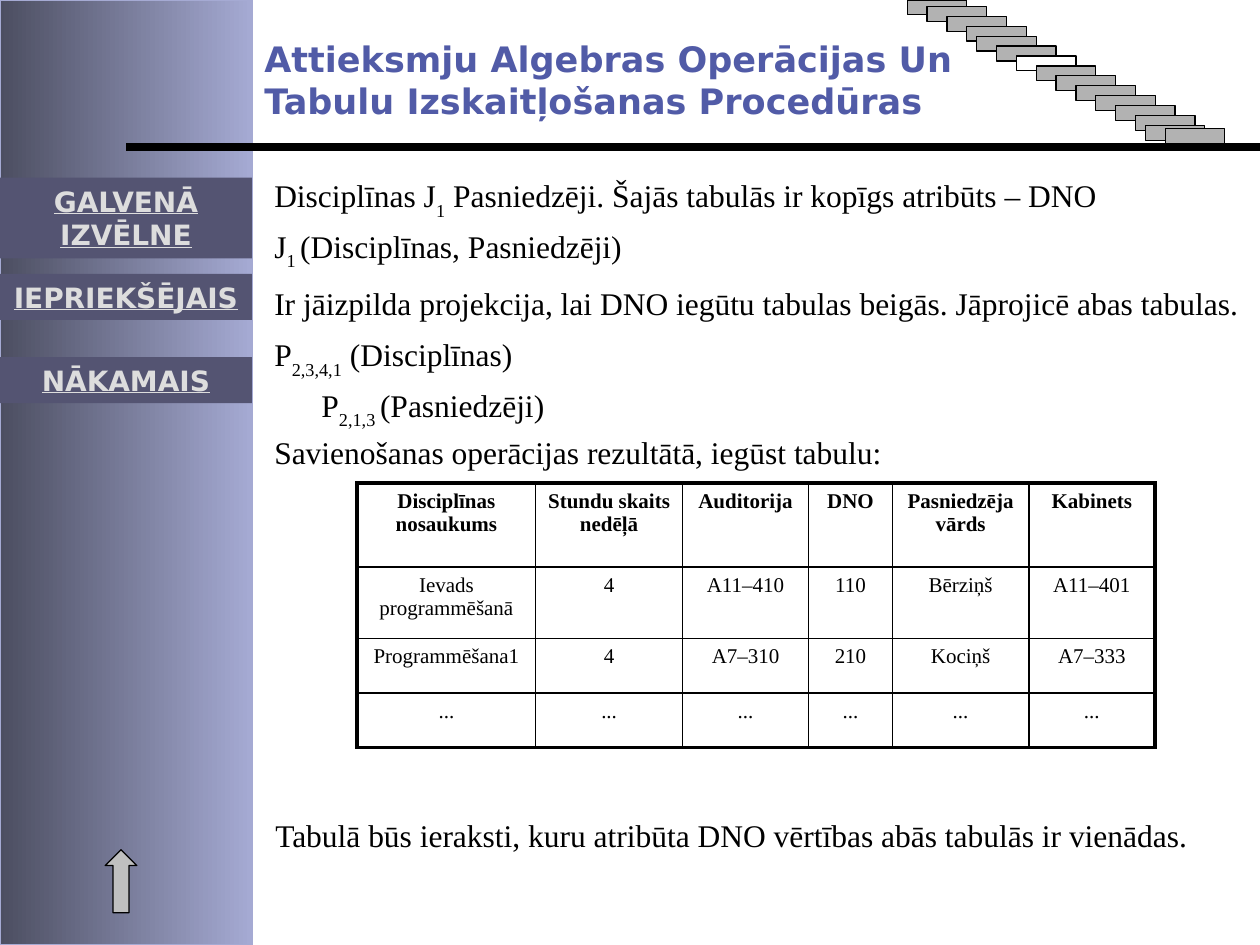
from lxml import etree
from pptx import Presentation
from pptx.dml.color import RGBColor
from pptx.enum import shapes, text
from pptx.oxml import ns
from pptx.util import Cm, Pt

SERIF, SANS = "Times New Roman", "DejaVu Sans"
BLACK, GRAY, WHITE = "000000", "B2B2B2", "FFFFFF"
LEFT, CENTER, JUSTIFY = text.PP_ALIGN.LEFT, text.PP_ALIGN.CENTER, text.PP_ALIGN.JUSTIFY

TITLE = "Attieksmju Algebras Operācijas Un Tabulu Izskaitļošanas Procedūras"
BODY = [
    ("Disciplīnas J|1| Pasniedzēji. Šajās tabulās ir kopīgs atribūts – DNO", {"spacing": 0.7}),
    ("J|1 |(Disciplīnas, Pasniedzēji)", {"spacing": 0.7, "align": JUSTIFY}),
    ("Ir jāizpilda projekcija, lai DNO iegūtu tabulas beigās. Jāprojicē abas tabulas.",
     {"align": JUSTIFY}),
    ("P|2,3,4,1| (Disciplīnas)", {"spacing": 0.7, "align": JUSTIFY}),
    ("P|2,1,3 |(Pasniedzēji)", {"spacing": 0.7, "indent": 0.95}),
    ("Savienošanas operācijas rezultātā, iegūst tabulu:", {"spacing": 0.7}),
]
CLOSING = "Tabulā būs ieraksti, kuru atribūta DNO vērtības abās tabulās ir vienādas."
BUTTONS = [
    ("GALVENĀ IZVĒLNE", 3.58, 1.63),
    ("IEPRIEKŠĒJAIS", 5.52, 0.93),
    ("NĀKAMAIS", 7.2, 0.93),
]
TABLE = [
    ["Disciplīnas nosaukums", "Stundu skaits nedēļā", "Auditorija", "DNO",
     "Pasniedzēja vārds", "Kabinets"],
    ["Ievads programmēšanā", "4", "A11–410", "110", "Bērziņš", "A11–401"],
    ["Programmēšana1", "4", "A7–310", "210", "Kociņš", "A7–333"],
    ["..."] * 6,
]
COLUMN_WIDTHS = [3.6, 2.96, 2.54, 1.69, 2.75, 2.54]
ROW_HEIGHTS = [1.69, 1.44, 1.1, 1.1]
BAR_STEPS = [0, 2, 4, 6, 7, 9, 11, 13, 15, 17, 19, 21, 23, 24, 26]
WHITE_BAR = 6


def color(value):
    return RGBColor.from_string(value)


def add_text(frame, content, size=18, font=SERIF, ink=BLACK, bold=False, underline=False,
             align=LEFT, spacing=None, before=0, indent=0):
    first = not frame.paragraphs[0].runs
    paragraph = frame.paragraphs[0] if first else frame.add_paragraph()
    paragraph.alignment = align
    if spacing:
        paragraph.line_spacing = spacing
    if before and not first:
        paragraph.space_before = Pt(before)
    if indent:
        paragraph._p.get_or_add_pPr().set("marL", str(Cm(indent)))
    for index, part in enumerate(content.split("|")):
        run = paragraph.add_run()
        run.text = part
        run.font.size, run.font.name = Pt(size), font
        run.font.bold, run.font.underline = bold, underline
        run.font.color.rgb = color(ink)
        if index % 2:
            run._r.get_or_add_rPr().set("baseline", "-30000")


def add_box(slide, left, top, width, height):
    frame = slide.shapes.add_textbox(Cm(left), Cm(top), Cm(width), Cm(height)).text_frame
    frame.word_wrap = True
    return frame


def add_shape(slide, kind, left, top, width, height, fill=None, line=None):
    shape = slide.shapes.add_shape(kind, Cm(left), Cm(top), Cm(width), Cm(height))
    shape.shadow.inherit = False
    if fill:
        shape.fill.solid()
        shape.fill.fore_color.rgb = color(fill)
    if line:
        shape.line.color.rgb = color(line)
        shape.line.width = Pt(0.75)
    else:
        shape.line.fill.background()
    return shape


def add_border(cell, side, width):
    properties = cell._tc.get_or_add_tcPr()
    line = etree.SubElement(properties, ns.qn(f"a:ln{side}"), w=str(Pt(width)))
    fill = etree.SubElement(line, ns.qn("a:solidFill"))
    etree.SubElement(fill, ns.qn("a:srgbClr"), val=BLACK)


def add_table(slide, left, top):
    rows, columns = len(TABLE), len(COLUMN_WIDTHS)
    table = slide.shapes.add_table(rows, columns, Cm(left), Cm(top),
                                   Cm(sum(COLUMN_WIDTHS)), Cm(sum(ROW_HEIGHTS))).table
    table.first_row = table.horz_banding = False
    for column, width in zip(table.columns, COLUMN_WIDTHS):
        column.width = Cm(width)
    for r, (values, height) in enumerate(zip(TABLE, ROW_HEIGHTS)):
        table.rows[r].height = Cm(height)
        for c, value in enumerate(values):
            cell = table.cell(r, c)
            cell.margin_left = cell.margin_right = Cm(0.2)
            add_text(cell.text_frame, value, size=12, bold=r == 0, align=CENTER)
            outer = {"L": c == 0, "R": c == columns - 1, "T": r == 0, "B": r == rows - 1}
            for side, thick in outer.items():
                add_border(cell, side, 2.25 if thick else 1)
            cell.fill.background()


def add_sidebar(slide):
    rectangle = shapes.MSO_SHAPE.RECTANGLE
    sidebar = add_shape(slide, rectangle, 0, 0, 5.08, 19.05, line="A5AAD3")
    sidebar.fill.gradient()
    sidebar.fill.gradient_angle = 180
    for stop, value in zip(sidebar.fill.gradient_stops, ("A5AAD3", "4C4E61")):
        stop.color.rgb = color(value)
    rule = slide.shapes.add_connector(shapes.MSO_CONNECTOR.STRAIGHT,
                                      Cm(25.4), Cm(2.96), Cm(2.54), Cm(2.96))
    rule.line.color.rgb = color(BLACK)
    rule.line.width = Pt(4.5)
    etree.SubElement(rule._element.spPr, ns.qn("a:effectLst"))
    add_shape(slide, shapes.MSO_SHAPE.UP_ARROW, 2.12, 17.13, 0.64, 1.27, "C0C0C0", BLACK)
    for label, top, height in BUTTONS:
        frame = add_shape(slide, rectangle, 0, top, 5.08, height, "545472").text_frame
        frame.word_wrap = True
        frame.margin_left = frame.margin_right = 0
        frame.vertical_anchor = text.MSO_ANCHOR.MIDDLE
        add_text(frame, label, size=16, font=SANS, ink="DDDDDD", bold=True,
                 underline=True, align=CENTER)


def add_bars(slide):
    for index, step in enumerate(BAR_STEPS):
        top = min(max(0, 0.2 * index - 0.07), 2.59)
        add_shape(slide, shapes.MSO_SHAPE.RECTANGLE, 18.29 + 0.2 * step, top, 1.2, 0.3,
                  WHITE if index == WHITE_BAR else GRAY, BLACK)


def main():
    presentation = Presentation()
    presentation.slide_width, presentation.slide_height = Cm(25.4), Cm(19.05)
    slide = presentation.slides.add_slide(presentation.slide_layouts[6])
    add_sidebar(slide)
    add_text(add_box(slide, 5.08, 0.64, 15.24, 1.96), TITLE,
             size=20, font=SANS, ink="515BA7", bold=True)
    body = add_box(slide, 5.28, 3.56, 20.12, 6.05)
    for content, style in BODY:
        add_text(body, content, before=11.2, **style)
    add_table(slide, 7.2, 9.74)
    add_text(add_box(slide, 5.3, 16.33, 19.6, 1.02), CLOSING)
    add_bars(slide)
    presentation.save("out.pptx")


if __name__ == "__main__":
    main()
